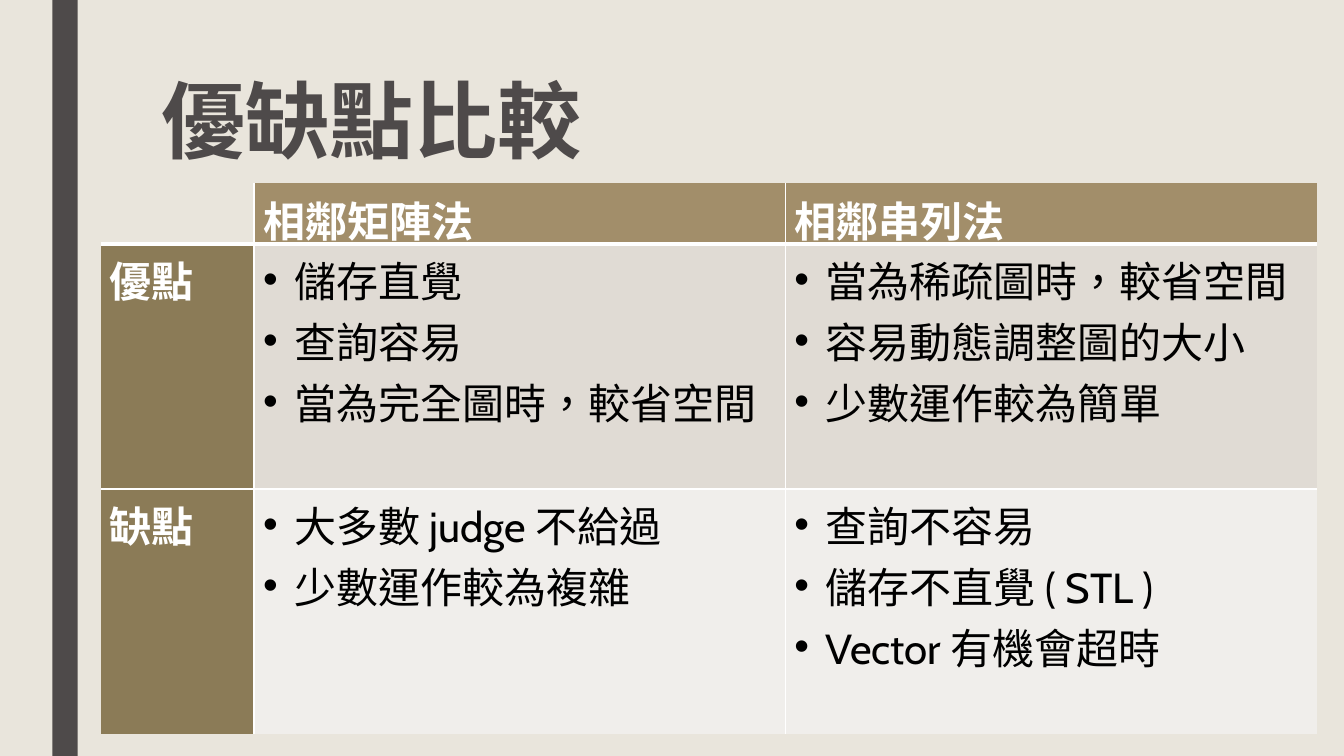
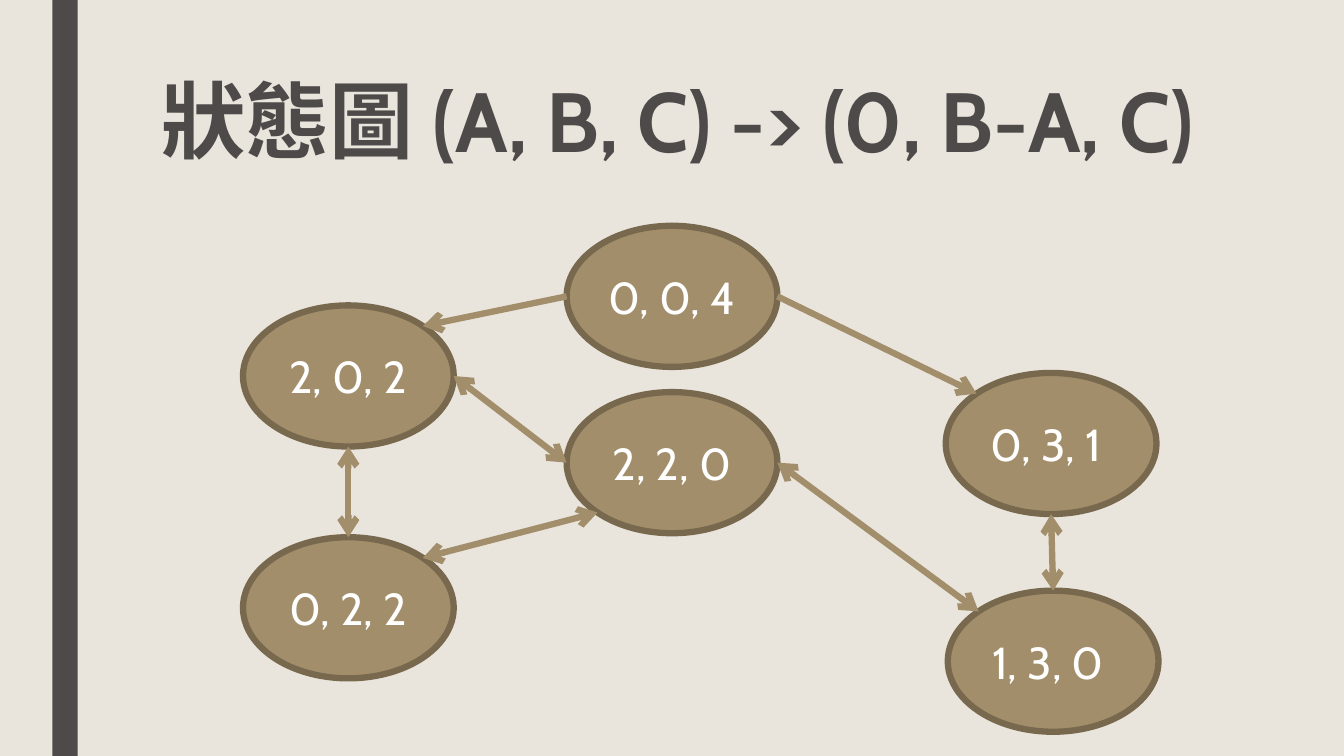
"""Build two slides: a comparison table of graph storage and a state graph."""
from math import cos, pi, sin
from lxml.etree import SubElement
from pptx import Presentation
from pptx.dml.color import RGBColor
from pptx.enum.shapes import MSO_CONNECTOR, MSO_SHAPE
from pptx.enum.text import MSO_ANCHOR, PP_ALIGN
from pptx.oxml.ns import qn
from pptx.util import Inches, Pt

PAPER = RGBColor(0xE9, 0xE5, 0xDC)
DARK = RGBColor(0x4E, 0x4A, 0x4A)
TAN = RGBColor(0xA2, 0x8E, 0x6A)
RIM = RGBColor(0x78, 0x69, 0x4E)
OLIVE = RGBColor(0x8B, 0x7B, 0x57)
SAND = RGBColor(0xE0, 0xDB, 0xD4)
PALE = RGBColor(0xF0, 0xEE, 0xEB)
WHITE = RGBColor(0xFF, 0xFF, 0xFF)
BLACK = RGBColor(0, 0, 0)
FONT = "Cabin"


def write(frame, text, size=30, color=WHITE, bold=False, align=None, space=None, bullet=False):
    """Fill a text frame, one paragraph per line of text."""
    frame.word_wrap = True
    for i, line in enumerate(text.split("\n")):
        para = frame.add_paragraph() if i else frame.paragraphs[0]
        para.alignment, para.line_spacing = align, space
        if bullet:
            props = para._p.get_or_add_pPr()
            props.set("marL", str(Inches(0.31)))
            props.set("indent", str(Inches(-0.31)))
            SubElement(props, qn("a:buFont"), typeface="Arial")
            SubElement(props, qn("a:buChar"), char="•")
        run = para.add_run()
        run.text = line
        run.font.name, run.font.size, run.font.bold = FONT, Pt(size), bold
        run.font.color.rgb = color
        run._r.get_or_add_rPr().set("lang", "zh-TW")


def edge(cell, side, width):
    """Draw one white border of a cell, or none when width is 0."""
    line = SubElement(cell._tc.get_or_add_tcPr(), qn("a:ln" + side), w=str(Pt(width)))
    if width:
        fill = SubElement(line, qn("a:solidFill"))
        SubElement(fill, qn("a:srgbClr"), val=str(WHITE))
    else:
        SubElement(line, qn("a:noFill"))


prs = Presentation()
prs.slide_width, prs.slide_height = Inches(13.33), Inches(7.5)
prs.slide_master.background.fill.solid()
prs.slide_master.background.fill.fore_color.rgb = PAPER

slides = []
for title in ("優缺點比較", "狀態圖 (A, B, C) -> (0, B-A, C)"):
    slide = prs.slides.add_slide(prs.slide_layouts[6])
    band = slide.shapes.add_shape(MSO_SHAPE.RECTANGLE, Inches(0.52), 0, Inches(0.25), Inches(7.5))
    band.shadow.inherit = False
    band.fill.solid()
    band.fill.fore_color.rgb = DARK
    band.line.fill.background()
    box = slide.shapes.add_textbox(Inches(1.5), Inches(0.75), Inches(10.5), Inches(1.62))
    write(box.text_frame, title, size=60, color=DARK, bold=True, space=0.89)
    slides.append(slide)
compare, states = slides

rows = [
    ("", "相鄰矩陣法", "相鄰串列法"),
    ("優點", "儲存直覺\n查詢容易\n當為完全圖時，較省空間",
     "當為稀疏圖時，較省空間\n容易動態調整圖的大小\n少數運作較為簡單"),
    ("缺點", "大多數 judge 不給過\n少數運作較為複雜",
     "查詢不容易\n儲存不直覺 ( STL )\nVector 有機會超時"),
]
fills = [(PAPER, TAN, TAN), (OLIVE, SAND, SAND), (OLIVE, PALE, PALE)]
rules = [0, 3, 1, 0]
table = compare.shapes.add_table(3, 3, Inches(1), Inches(1.82), Inches(12.06), Inches(5.46)).table
table.horz_banding = False
for col, width in zip(table.columns, (1.52, 5.27, 5.27)):
    col.width = Inches(width)
for row, height in zip(table.rows, (0.6, 2.43, 2.43)):
    row.height = Inches(height)
for r, texts in enumerate(rows):
    for c, text in enumerate(texts):
        cell = table.cell(r, c)
        cell.margin_left = cell.margin_right = Inches(0.09)
        cell.margin_top = cell.margin_bottom = Inches(0.05)
        head = r == 0 or c == 0
        if text:
            write(cell.text_frame, text, color=WHITE if head else BLACK, bold=head, bullet=not head)
        for side, width in zip("LRTB", (c > 0, c < 2, rules[r], rules[r + 1])):
            edge(cell, side, int(width))
        cell.fill.solid()
        cell.fill.fore_color.rgb = fills[r][c]

WIDE, HIGH = 2.09, 1.4
spots = {
    "0, 0, 4": (5.62, 2.24), "0, 3, 1 ": (9.38, 3.7), "2, 0, 2": (2.41, 3.03),
    "0, 2, 2": (2.41, 5.33), "1, 3, 0 ": (9.4, 5.86), "2, 2, 0": (5.62, 3.89),
}
nodes = {}
for name, (left, top) in spots.items():
    node = states.shapes.add_shape(MSO_SHAPE.OVAL, Inches(left), Inches(top), Inches(WIDE), Inches(HIGH))
    node.shadow.inherit = False
    node.fill.solid()
    node.fill.fore_color.rgb = TAN
    node.line.color.rgb, node.line.width = RIM, Pt(4.5)
    node.text_frame.vertical_anchor = MSO_ANCHOR.MIDDLE
    write(node.text_frame, name, size=32, align=PP_ALIGN.CENTER)
    nodes[name] = node

TOP, TOP_LEFT, LEFT, LOW_LEFT, LOW, LOW_RIGHT, RIGHT, TOP_RIGHT = range(8)
links = [
    ("0, 0, 4", RIGHT, "0, 3, 1 ", TOP_LEFT, False),
    ("0, 0, 4", LEFT, "2, 0, 2", TOP_RIGHT, False),
    ("2, 0, 2", LOW, "0, 2, 2", TOP, True),
    ("2, 2, 0", LEFT, "2, 0, 2", RIGHT, True),
    ("0, 3, 1 ", LOW, "1, 3, 0 ", TOP, True),
    ("2, 2, 0", RIGHT, "1, 3, 0 ", TOP_LEFT, True),
    ("2, 2, 0", LOW_LEFT, "0, 2, 2", TOP_RIGHT, True),
]
for start, out, end, into, both in links:
    ends = []
    for name, site in ((start, out), (end, into)):
        left, top = spots[name]
        turn = site * pi / 4
        ends += [Inches(left + WIDE / 2 * (1 - sin(turn))), Inches(top + HIGH / 2 * (1 - cos(turn)))]
    link = states.shapes.add_connector(MSO_CONNECTOR.STRAIGHT, *ends)
    link.line.color.rgb, link.line.width = TAN, Pt(4.5)
    glue = link._element.nvCxnSpPr.cNvCxnSpPr
    for tag, name, site in (("a:stCxn", start, out), ("a:endCxn", end, into)):
        SubElement(glue, qn(tag), id=str(nodes[name].shape_id), idx=str(site))
    for tag in ("a:headEnd", "a:tailEnd") if both else ("a:tailEnd",):
        SubElement(link.line._get_or_add_ln(), qn(tag), type="arrow")
    SubElement(link._element.spPr, qn("a:effectLst"))

prs.save("out.pptx")
